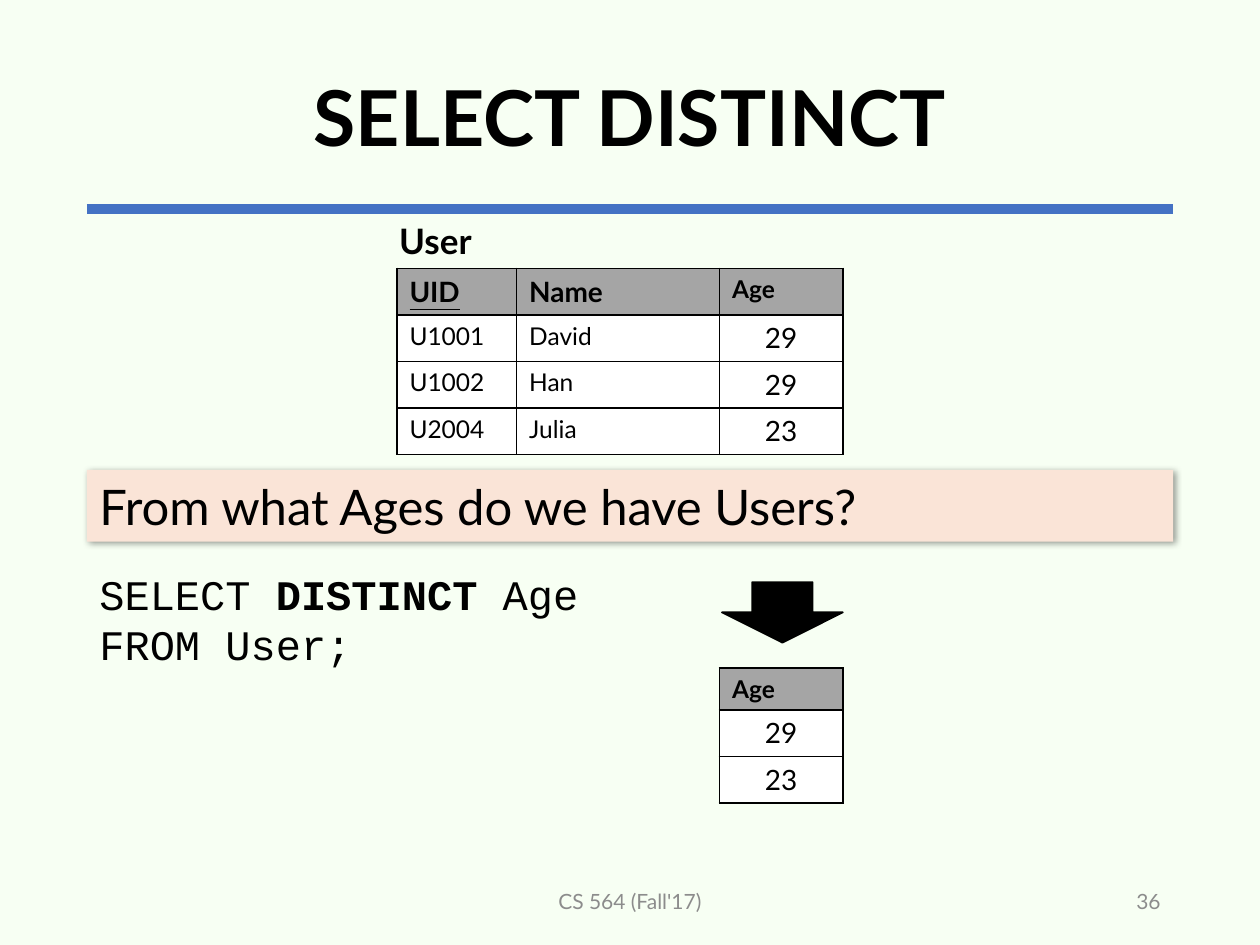
from lxml.etree import SubElement
from pptx import Presentation
from pptx.dml.color import RGBColor as RGB
from pptx.enum.shapes import MSO_CONNECTOR as Connector, MSO_SHAPE as Shape
from pptx.enum.text import MSO_ANCHOR as Anchor, MSO_AUTO_SIZE as AutoSize, PP_ALIGN as Align
from pptx.oxml import parse_xml
from pptx.oxml.ns import nsdecls, qn
from pptx.util import Inches, Pt

COLORS = {
    "background": "F7FFF3", "rule": "4472C4", "text": "000000", "muted": "8C8C8C",
    "question": "FAE4D7", "header": "A5A5A5", "cell": "FFFFFF", "border": "000000",
}


def color(name):
    """Return the named palette colour."""
    return RGB.from_string(COLORS[name])


def inches(*values):
    """Convert several numbers to lengths."""
    return [Inches(v) for v in values]


def add_run(p, text, size, ink="text", **formats):
    """Append a run, in Lato unless another font name is given."""
    r = p.add_run()
    r.text = text
    values = {"name": "Lato", "size": Pt(size), "bold": False, **formats}
    for key, value in values.items():
        setattr(r.font, key, value)
    r.font.color.rgb = color(ink)


def set_frame(tf, **formats):
    """Apply text frame settings over the usual ones."""
    values = {"word_wrap": True, "auto_size": AutoSize.NONE,
              "vertical_anchor": Anchor.TOP, **formats}
    for key, value in values.items():
        setattr(tf, key, value)


def add_title(s, text):
    """Place the title and the rule beneath it."""
    sp = s.shapes.title
    sp.left, sp.top, sp.width, sp.height = inches(0.69, 0.24, 8.62, 1.45)
    set_frame(sp.text_frame, vertical_anchor=Anchor.MIDDLE)
    p = sp.text_frame.paragraphs[0]
    p.alignment, p.line_spacing = Align.CENTER, 0.9
    add_run(p, text, 44, bold=True)
    rule = s.shapes.add_connector(Connector.STRAIGHT, *inches(0.69, 1.66, 9.31, 1.66))
    rule.line.color.rgb = color("rule")
    rule.line.width = Pt(6)
    SubElement(rule._element.spPr, qn("a:effectLst"))


def add_text(s, box, text, size, align=Align.LEFT, ink="text", frame=None, **formats):
    """Add a one-paragraph text box."""
    sp = s.shapes.add_textbox(*inches(*box))
    set_frame(sp.text_frame, **(frame or {}))
    p = sp.text_frame.paragraphs[0]
    p.alignment = align
    add_run(p, text, size, ink, **formats)


def add_query(s, box, lines):
    """Add code lines whose runs are pairs of text and boldness."""
    tf = s.shapes.add_textbox(*inches(*box)).text_frame
    set_frame(tf)
    for i, line in enumerate(lines):
        p = tf.add_paragraph() if i else tf.paragraphs[0]
        for text, bold in line:
            add_run(p, text, 24, name="Courier New", bold=bold)


def add_filled(s, kind, box, fill):
    """Add a filled preset shape without line or shadow."""
    sp = s.shapes.add_shape(kind, *inches(*box))
    sp.fill.solid()
    sp.fill.fore_color.rgb = color(fill)
    sp.line.fill.background()
    sp.shadow.inherit = False
    return sp


def add_question(s, box, text):
    """Add the question banner with a soft shadow."""
    sp = add_filled(s, Shape.RECTANGLE, box, "question")
    sp._element.spPr.find(qn("a:effectLst")).append(parse_xml(
        f'<a:outerShdw {nsdecls("a")} blurRad="{Pt(4)}" dist="{Pt(1)}" dir="2700000" '
        'algn="tl" rotWithShape="0"><a:srgbClr val="000000"><a:alpha val="40000"/>'
        '</a:srgbClr></a:outerShdw>'))
    set_frame(sp.text_frame)
    p = sp.text_frame.paragraphs[0]
    p.alignment = Align.LEFT
    add_run(p, text, 28)


def set_borders(cell):
    """Draw a thin line on every side of a cell."""
    tcPr = cell._tc.get_or_add_tcPr()
    for i, side in enumerate(("lnL", "lnR", "lnT", "lnB")):
        tcPr.insert(i, parse_xml(
            f'<a:{side} {nsdecls("a")} w="{Pt(1)}"><a:solidFill>'
            f'<a:srgbClr val="{COLORS["border"]}"/></a:solidFill></a:{side}>'))


def add_grid(s, left, top, widths, heights, rows):
    """Add a table with a grey header and centred numbers."""
    box = inches(left, top, sum(widths), sum(heights))
    table = s.shapes.add_table(len(rows), len(widths), *box).table
    for column, width in zip(table.columns, widths):
        column.width = Inches(width)
    for i, (row, height) in enumerate(zip(rows, heights)):
        table.rows[i].height = Inches(height)
        for j, text in enumerate(row):
            cell = table.cell(i, j)
            cell.fill.solid()
            cell.fill.fore_color.rgb = color("cell" if i else "header")
            set_borders(cell)
            p = cell.text_frame.paragraphs[0]
            p.alignment = Align.CENTER if text.isdigit() else Align.LEFT
            large = text.isdigit() or text in ("UID", "Name")
            add_run(p, text, 16 if large else 14, bold=i == 0, underline=text == "UID")


def main():
    """Build the slide and save it."""
    prs = Presentation()
    prs.slide_width, prs.slide_height = inches(10, 7.5)
    s = prs.slides.add_slide(prs.slide_layouts[5])
    s.background.fill.solid()
    s.background.fill.fore_color.rgb = color("background")
    add_title(s, "SELECT DISTINCT")
    middle = {"vertical_anchor": Anchor.MIDDLE}
    add_text(s, (3.31, 6.95, 3.38, 0.4), "CS 564 (Fall'17)", 12, Align.CENTER, "muted", middle)
    add_text(s, (7.06, 6.95, 2.25, 0.4), "36", 12, Align.RIGHT, "muted", middle)
    add_query(s, (0.69, 4.46, 4.39, 0.97), [
        [("SELECT ", False), ("DISTINCT", True), (" Age", False)],
        [("FROM User;", False)],
    ])
    add_question(s, (0.69, 3.73, 8.62, 0.57), "From what Ages do we have Users?")
    add_grid(s, 3.15, 2.13, [0.95, 1.61, 0.98], [0.37] * 4, [
        ("UID", "Name", "Age"),
        ("U1001", "David", "29"),
        ("U1002", "Han", "29"),
        ("U2004", "Julia", "23"),
    ])
    add_text(s, (3.07, 1.69, 0.78, 0.44), "User", 20, frame={"word_wrap": False}, bold=True)
    arrow = add_filled(s, Shape.DOWN_ARROW, (5.73, 4.62, 0.96, 0.48), "text")
    arrow.line.color.rgb = color("border")
    arrow.line.width = Pt(1)
    add_grid(s, 5.71, 5.3, [0.98], [0.33, 0.37, 0.37], [("Age",), ("29",), ("23",)])
    prs.save("out.pptx")


if __name__ == "__main__":
    main()
